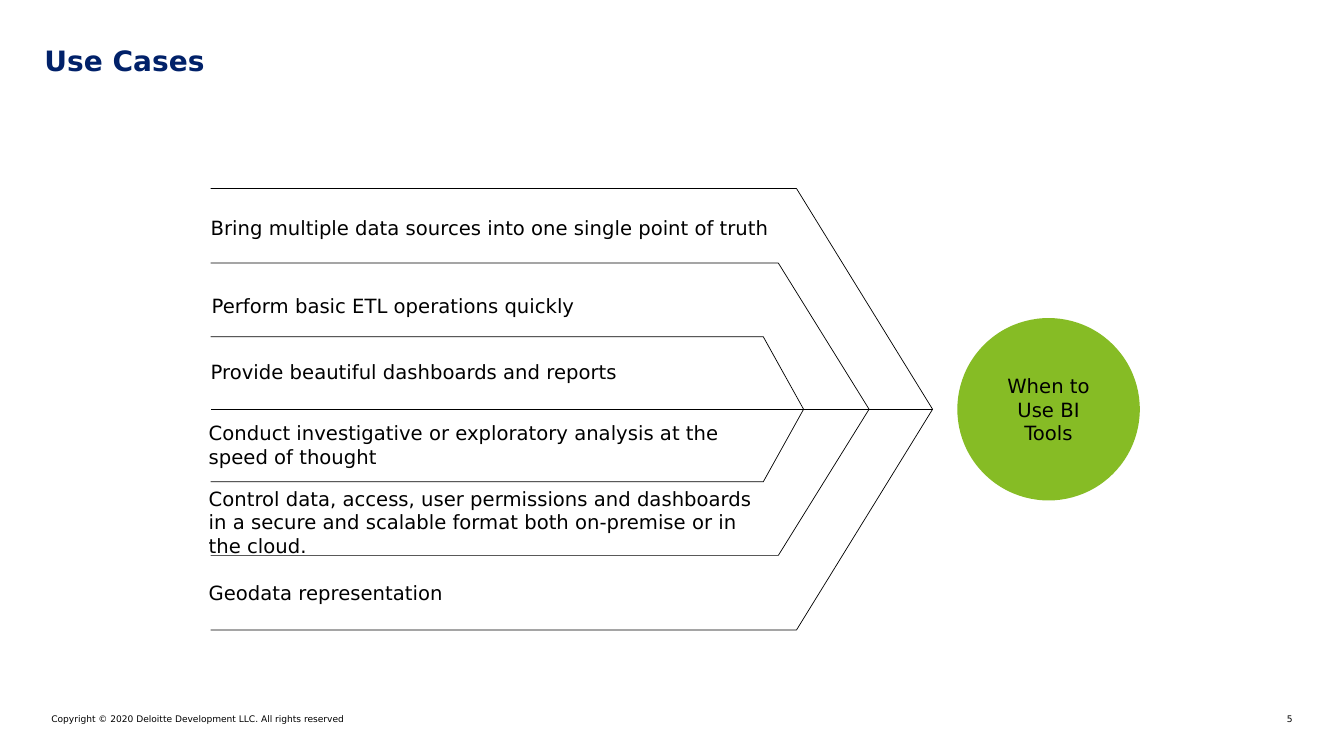
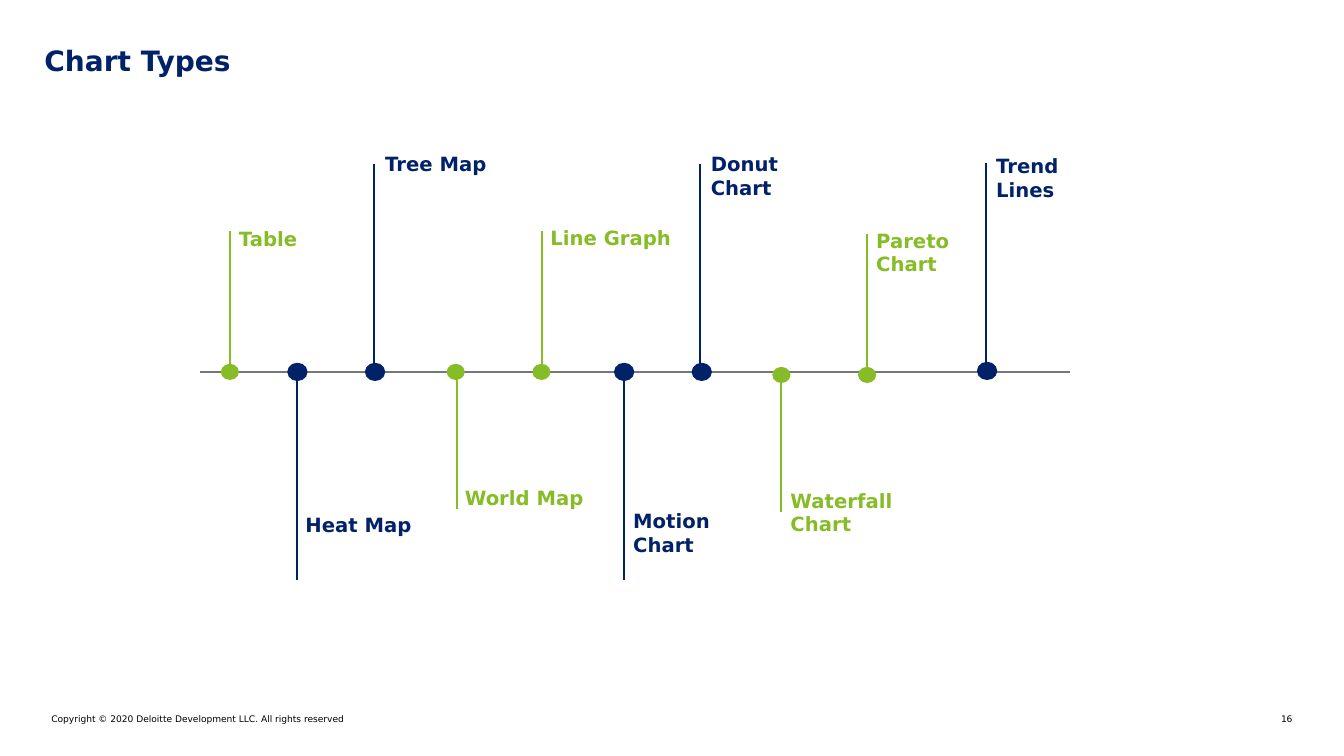
from dataclasses import dataclass

from pptx import Presentation
from pptx.dml.color import RGBColor
from pptx.enum.shapes import MSO_CONNECTOR, MSO_SHAPE
from pptx.enum.text import MSO_ANCHOR as Anchor, MSO_AUTO_SIZE as AutoSize, PP_ALIGN as Align
from pptx.oxml.ns import qn
from pptx.shapes.autoshape import Shape
from pptx.slide import Slide
from pptx.text.text import TextFrame
from pptx.util import Inches, Pt

FONT = "DejaVu Sans"
COLORS = {"navy": "012169", "green": "86BC25", "gray": "75787B", "black": "000000"}
COPYRIGHT = "Copyright © 2020 Deloitte Development LLC. All rights reserved"

SPINE_Y = 4.06
SPINE_LEFT = 2.09
AXIS_Y = 3.69
DOT_WIDTH, DOT_HEIGHT = 0.18, 0.16


@dataclass(frozen=True)
class Rib:
    """One bent line of the fishbone, drawn above and below the spine."""
    rise: float
    elbow_x: float
    tip_x: float


@dataclass(frozen=True)
class UseCase:
    wording: str
    left: float
    middle: float


@dataclass(frozen=True)
class Milestone:
    label: str
    color: str
    dot_x: float
    stem_x: float
    stem_end: float
    label_left: float
    label_top: float
    dot_y: float = AXIS_Y


RIBS = [Rib(2.19, 7.9, 9.25), Rib(1.45, 7.72, 8.62), Rib(0.72, 7.57, 7.97)]

USE_CASES = [
    UseCase("Bring multiple data sources into one single point of truth", 2.09, 2.26),
    UseCase("Perform basic ETL operations quickly", 2.1, 3.03),
    UseCase("Provide beautiful dashboards and reports", 2.09, 3.69),
    UseCase("Conduct investigative or exploratory analysis at the speed of thought", 2.07, 4.41),
    UseCase("Control data, access, user permissions and dashboards in a secure and "
            "scalable format both on-premise or in the cloud.", 2.07, 5.18),
    UseCase("Geodata representation", 2.07, 5.88),
]

MILESTONES = [
    Milestone("Table", "green", 2.28, 2.28, 2.29, 2.37, 2.25),
    Milestone("Heat Map", "navy", 2.95, 2.95, 5.75, 3.03, 5.09),
    Milestone("Tree Map", "navy", 3.72, 3.71, 1.63, 3.82, 1.51),
    Milestone("World Map", "green", 4.52, 4.53, 5.05, 4.61, 4.82),
    Milestone("Line Graph", "green", 5.37, 5.38, 2.29, 5.46, 2.24),
    Milestone("Motion Chart", "navy", 6.19, 6.19, 5.75, 6.28, 5.05),
    Milestone("Donut Chart", "navy", 6.96, 6.94, 1.63, 7.05, 1.51),
    Milestone("Waterfall Chart", "green", 7.75, 7.75, 5.08, 7.84, 4.85, 3.72),
    Milestone("Pareto Chart", "green", 8.6, 8.6, 2.32, 8.69, 2.27, 3.72),
    Milestone("Trend Lines", "navy", 9.79, 9.78, 1.62, 9.88, 1.53, 3.68),
]


def rgb(color: str) -> RGBColor:
    return RGBColor.from_string(COLORS[color])


def write(frame: TextFrame, wording: str, size: float, color: str = "black",
          bold: bool = False, align: Align = Align.LEFT,
          anchor: Anchor = Anchor.TOP, margin: float = 0) -> None:
    frame.word_wrap = True
    frame.auto_size = AutoSize.NONE
    frame.vertical_anchor = anchor
    frame.margin_left = frame.margin_right = Inches(margin)
    frame.margin_top = frame.margin_bottom = Inches(margin)
    paragraph = frame.paragraphs[0]
    paragraph.alignment = align
    run = paragraph.add_run()
    run.text = wording
    run.font.name = FONT
    run.font.size = Pt(size)
    run.font.bold = bold
    run.font.color.rgb = rgb(color)


def add_label(slide: Slide, left: float, top: float, width: float, height: float,
              wording: str, size: float, **style) -> None:
    box = slide.shapes.add_textbox(Inches(left), Inches(top), Inches(width), Inches(height))
    write(box.text_frame, wording, size, **style)


def add_line(slide: Slide, start: tuple[float, float], end: tuple[float, float],
             color: str, weight: float) -> None:
    line = slide.shapes.add_connector(
        MSO_CONNECTOR.STRAIGHT, *(Inches(value) for value in (*start, *end)))
    line.line.color.rgb = rgb(color)
    line.line.width = Pt(weight)
    properties = line._element.spPr
    properties.append(properties.makeelement(qn("a:effectLst"), {}))


def add_ellipse(slide: Slide, center_x: float, center_y: float,
                width: float, height: float, color: str) -> Shape:
    ellipse = slide.shapes.add_shape(
        MSO_SHAPE.OVAL, Inches(center_x - width / 2), Inches(center_y - height / 2),
        Inches(width), Inches(height))
    ellipse.shadow.inherit = False
    ellipse.fill.solid()
    ellipse.fill.fore_color.rgb = rgb(color)
    ellipse.line.fill.background()
    return ellipse


def add_rib(slide: Slide, rib: Rib, side: int) -> None:
    """Draw a rib above (side -1) or below (side 1) the spine."""
    outer_y = Inches(SPINE_Y + side * rib.rise)
    builder = slide.shapes.build_freeform(Inches(SPINE_LEFT), outer_y)
    builder.add_line_segments(
        [(Inches(rib.elbow_x), outer_y), (Inches(rib.tip_x), Inches(SPINE_Y))], close=False)
    outline = builder.convert_to_shape()
    outline.shadow.inherit = False
    outline.fill.background()
    outline.line.color.rgb = rgb("black")
    outline.line.width = Pt(0.5)


def add_milestone(slide: Slide, milestone: Milestone) -> None:
    color = milestone.color
    dot = add_ellipse(slide, milestone.dot_x, milestone.dot_y, DOT_WIDTH, DOT_HEIGHT, color)
    if color == "navy":
        dot.line.color.rgb = rgb(color)
        dot.line.width = Pt(1.5)
    add_line(slide, (milestone.stem_x, milestone.dot_y),
             (milestone.stem_x, milestone.stem_end), color, 1.5)
    add_label(slide, milestone.label_left, milestone.label_top, 1.21, 0.47,
              milestone.label, 14, color=color, bold=True)


def add_titled_slide(deck: Presentation, heading: str, number: int) -> Slide:
    """Add a slide with the shared title, copyright line and page number."""
    slide = deck.slides.add_slide(deck.slide_layouts[5])
    title = slide.shapes.title
    title.left, title.top = Inches(0.44), Inches(0.43)
    title.width, title.height = Inches(12.31), Inches(0.33)
    write(title.text_frame, heading, 20, color="navy", bold=True)
    add_label(slide, 0.51, 7.08, 5.86, 0.11, COPYRIGHT, 6.5)
    add_label(slide, 12.48, 7.08, 0.34, 0.11, str(number), 6.5, align=Align.RIGHT)
    return slide


def build_use_cases(deck: Presentation) -> None:
    slide = add_titled_slide(deck, "Use Cases", 5)
    goal = add_ellipse(slide, 10.4, SPINE_Y, 1.81, 1.81, "green")
    write(goal.text_frame, "When to Use BI Tools", 14,
          align=Align.CENTER, anchor=Anchor.MIDDLE, margin=0.1)
    row_height = 0.71
    for case in USE_CASES:
        add_label(slide, case.left, case.middle - row_height / 2, 5.54, row_height,
                  case.wording, 14, anchor=Anchor.MIDDLE)
    for rib in RIBS:
        for side in (-1, 1):
            add_rib(slide, rib, side)
    add_line(slide, (RIBS[0].tip_x, SPINE_Y), (SPINE_LEFT, SPINE_Y), "black", 0.5)


def build_chart_types(deck: Presentation) -> None:
    slide = add_titled_slide(deck, "Chart Types", 16)
    add_line(slide, (1.98, AXIS_Y), (10.61, AXIS_Y), "gray", 1.5)
    for milestone in MILESTONES:
        add_milestone(slide, milestone)


def main() -> None:
    deck = Presentation()
    deck.slide_width, deck.slide_height = Inches(13.33), Inches(7.5)
    build_use_cases(deck)
    build_chart_types(deck)
    deck.save("out.pptx")


if __name__ == "__main__":
    main()
